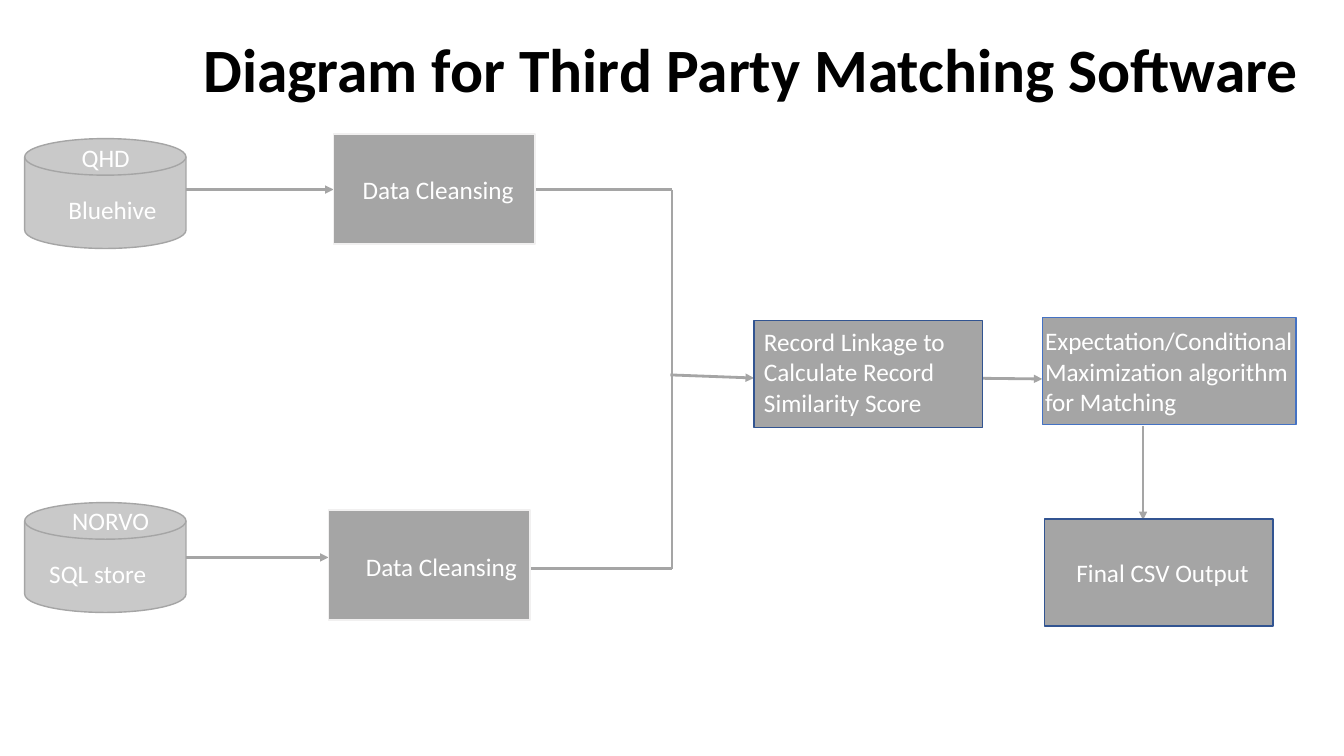
from dataclasses import dataclass, field

import lxml.etree
import pptx
import pptx.dml.color
import pptx.enum.shapes
import pptx.enum.text
import pptx.oxml.ns
import pptx.util

Pt = pptx.util.Pt
SHAPE = pptx.enum.shapes.MSO_SHAPE


@dataclass(frozen=True)
class Theme:
    font: str = "Calibri"
    title_size: float = 44
    label_size: float = 18
    title_color: str = "000000"
    label_color: str = "FFFFFF"
    gray: str = "A5A5A5"
    drum: str = "C9C9C9"
    pale_edge: str = "F1F0F0"
    navy_edge: str = "325491"
    blue_edge: str = "4472C4"
    edge_width: float = 1


THEME = Theme()


@dataclass(frozen=True)
class Node:
    left: float
    top: float
    width: float
    height: float
    edge: str
    fill: str = THEME.gray
    kind: SHAPE = SHAPE.RECTANGLE
    rotation: float = 0


@dataclass(frozen=True)
class Link:
    x1: float
    y1: float
    x2: float
    y2: float
    arrow: bool = False
    width: float = 2


@dataclass(frozen=True)
class Label:
    text: str
    left: float
    top: float
    width: float = 181.4
    height: float = 29.1
    size: float = THEME.label_size
    color: str = THEME.label_color
    bold: bool = False
    frame: dict = field(default_factory=dict)
    spacing: float = 1.0


DRUMS = [
    Node(36, top, 78.5, 115.2, THEME.gray, THEME.drum, SHAPE.FLOWCHART_DIRECT_ACCESS_STORAGE, 270)
    for top in (80.6, 340.6)
]
BOXES = [
    Node(238.3, 95.8, 144, 78.5, THEME.pale_edge),
    Node(234.7, 364.3, 144, 78.5, THEME.pale_edge),
    Node(538.6, 229, 163.4, 76.3, THEME.navy_edge),
    Node(744.5, 226.8, 181.4, 76.3, THEME.blue_edge),
    Node(745.9, 370.8, 163.4, 76.3, THEME.navy_edge),
]
LINKS = [
    Link(132.5, 135.4, 238.3, 135.4, arrow=True),
    Link(132.5, 398.2, 234.7, 398.2, arrow=True),
    Link(382.3, 135.4, 480.2, 135.4),
    Link(378.7, 406.1, 480.2, 406.1),
    Link(480.2, 135.4, 480.2, 406.1, width=1.75),
    Link(478.8, 267.8, 538.6, 270, arrow=True),
    Link(681.1, 270, 744.5, 270.7, arrow=True),
    Link(816.5, 304.6, 816.5, 371.5, arrow=True, width=1.75),
]
TITLE = Label(
    "Diagram for Third Party Matching Software", 128.2, -0.7, 828, 104.4,
    size=THEME.title_size, color=THEME.title_color, bold=True, spacing=0.9,
    frame={"vertical_anchor": pptx.enum.text.MSO_ANCHOR.MIDDLE, "margin_left": Pt(17.2)},
)
LABELS = [
    TITLE,
    Label("Bluehive", 41.8, 135.4),
    Label("SQL store", 28.1, 395.3),
    Label("NORVO", 44.5, 357.1, 90),
    Label("QHD", 51.2, 97.9, 90),
    Label("Data Cleansing", 252, 121),
    Label("Data Cleansing", 254.2, 390.2),
    Label("Record Linkage to Calculate Record Similarity Score", 538.6, 229.7, height=72.7),
    Label("Expectation/Conditional Maximization algorithm for Matching",
          739.4, 229, 195.1, 72.7),
    Label("Final CSV Output", 761.8, 394.6),
]


def rgb(value: str) -> pptx.dml.color.RGBColor:
    return pptx.dml.color.RGBColor.from_string(value)


def apply(target: object, values: dict) -> None:
    for name, value in values.items():
        setattr(target, name, value)


def add_node(slide: pptx.slide.Slide, node: Node) -> None:
    sp = slide.shapes.add_shape(
        node.kind, Pt(node.left), Pt(node.top), Pt(node.width), Pt(node.height)
    )
    sp.rotation = node.rotation
    sp.shadow.inherit = False
    sp.fill.solid()
    sp.fill.fore_color.rgb = rgb(node.fill)
    sp.line.color.rgb = rgb(node.edge)
    sp.line.width = Pt(THEME.edge_width)


def add_link(slide: pptx.slide.Slide, link: Link) -> None:
    cx = slide.shapes.add_connector(
        pptx.enum.shapes.MSO_CONNECTOR.STRAIGHT,
        Pt(link.x1), Pt(link.y1), Pt(link.x2), Pt(link.y2),
    )
    cx.line.color.rgb = rgb(THEME.gray)
    cx.line.width = Pt(link.width)
    qn = pptx.oxml.ns.qn
    props = cx._element.spPr
    if link.arrow:
        lxml.etree.SubElement(props.find(qn("a:ln")), qn("a:tailEnd"), type="triangle")
    lxml.etree.SubElement(props, qn("a:effectLst"))


def add_label(slide: pptx.slide.Slide, label: Label) -> None:
    sp = slide.shapes.add_textbox(
        Pt(label.left), Pt(label.top), Pt(label.width), Pt(label.height)
    )
    tf = sp.text_frame
    apply(tf, {"word_wrap": True, **label.frame})
    p = tf.paragraphs[0]
    p.line_spacing = label.spacing
    r = p.add_run()
    r.text = label.text
    apply(r.font, {"name": THEME.font, "size": Pt(label.size), "bold": label.bold})
    r.font.color.rgb = rgb(label.color)


def main() -> None:
    prs = pptx.Presentation()
    apply(prs, {"slide_width": Pt(960), "slide_height": Pt(540)})
    slide = prs.slides.add_slide(prs.slide_layouts[6])
    for link in LINKS:
        add_link(slide, link)
    for node in DRUMS + BOXES:
        add_node(slide, node)
    for label in LABELS:
        add_label(slide, label)
    prs.save("out.pptx")


if __name__ == "__main__":
    main()
